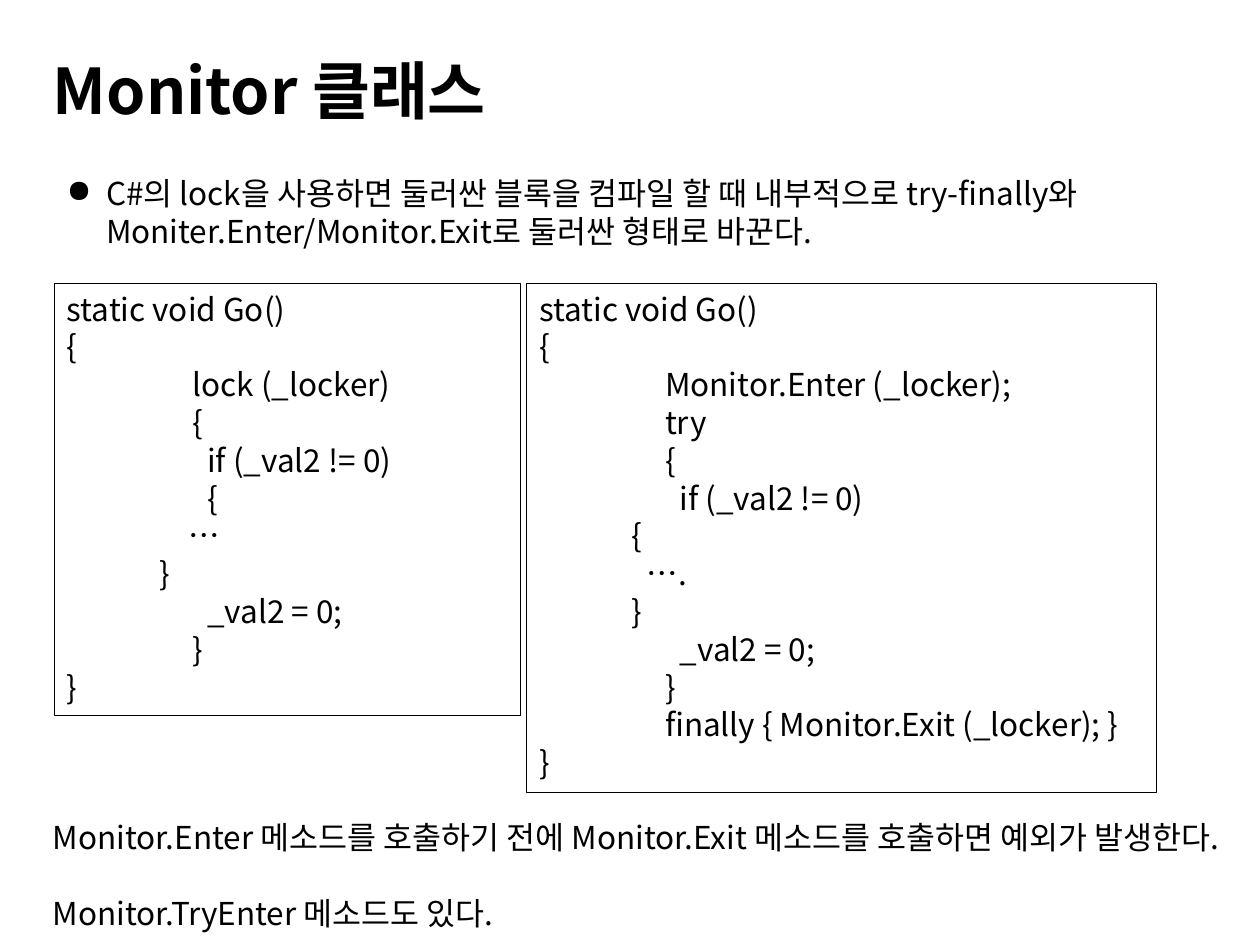
from pptx import Presentation
from pptx import util as u
from pptx.dml.color import RGBColor
from pptx.enum import shapes, text
from pptx.oxml.ns import qn
from lxml import etree

BLACK = RGBColor(0, 0, 0)
FONT = "Noto Sans CJK KR"
TAB = 72
STEP = 8.4
BRACE = 53

LOCK_CODE = [
    (0, "static void Go()"),
    (0, "{"),
    (TAB, "lock (_locker)"),
    (TAB, "{"),
    (TAB + STEP, "if (_val2 != 0)\v{"),
    (BRACE + 2 * STEP, "…"),
    (BRACE, "}"),
    (TAB + STEP, "_val2 = 0;"),
    (TAB, "}"),
    (0, "}"),
]
MONITOR_CODE = [
    (0, "static void Go()"),
    (0, "{"),
    (TAB, "Monitor.Enter (_locker);"),
    (TAB, "try"),
    (TAB, "{"),
    (TAB + STEP, "if (_val2 != 0)"),
    (BRACE, "{"),
    (BRACE + STEP, "…."),
    (BRACE, "}"),
    (TAB + STEP, "_val2 = 0;"),
    (TAB, "}"),
    (TAB, "finally { Monitor.Exit (_locker); }"),
    (0, "}"),
]
SUMMARY = ("C#의 lock을 사용하면 둘러싼 블록을 컴파일 할 때 내부적으로 try-finally와 "
           "Moniter.Enter/Monitor.Exit로 둘러싼 형태로 바꾼다.")
NOTES = ("Monitor.Enter 메소드를 호출하기 전에 Monitor.Exit 메소드를 호출하면 예외가 발생한다.\v"
         "Monitor.TryEnter 메소드도 있다.")


def set_indent(para, left, first=0):
    props = para._p.get_or_add_pPr()
    props.set("marL", str(u.Pt(left)))
    props.set("indent", str(u.Pt(first)))
    return props


def write(para, words, size=18, bold=False):
    para.text = words
    para.alignment = text.PP_ALIGN.LEFT
    look = {"name": FONT, "size": u.Pt(size), "bold": bold}
    for span in para.runs:
        for key, value in look.items():
            setattr(span.font, key, value)
        span.font.color.rgb = BLACK
        etree.SubElement(span._r.rPr, qn("a:ea"), typeface=FONT)


def format_frame(frame, wrap=True):
    look = {
        "word_wrap": wrap,
        "auto_size": text.MSO_AUTO_SIZE.NONE,
        "vertical_anchor": text.MSO_ANCHOR.TOP,
    }
    for key, value in look.items():
        setattr(frame, key, value)


def add_title(page, words, left, top, width, height):
    title = page.shapes.title
    place = {"left": left, "top": top, "width": width, "height": height}
    for key, value in place.items():
        setattr(title, key, u.Pt(value))
    format_frame(title.text_frame, wrap=False)
    write(title.text_frame.paragraphs[0], words, 36, True)


def add_text(page, words, *place):
    box = page.shapes.add_textbox(*map(u.Pt, place))
    format_frame(box.text_frame)
    para = box.text_frame.paragraphs[0]
    write(para, words)
    return para


def add_bullet(page, words, *place):
    para = add_text(page, words, *place)
    props = set_indent(para, 22.5, -22.5)
    etree.SubElement(props, qn("a:buChar"), char="●")


def add_code(page, lines, *place):
    """Draw a framed listing; each line is (indent in points, words)."""
    box = page.shapes.add_shape(shapes.MSO_SHAPE.RECTANGLE, *map(u.Pt, place))
    box.shadow.inherit = False
    box.fill.background()
    box.line.color.rgb = BLACK
    box.line.width = u.Pt(0.75)
    frame = box.text_frame
    format_frame(frame)
    for number, (indent, words) in enumerate(lines):
        para = frame.add_paragraph() if number else frame.paragraphs[0]
        write(para, words)
        set_indent(para, indent)


def main():
    deck = Presentation()
    deck.slide_width, deck.slide_height = u.Pt(720), u.Pt(540)
    page = deck.slides.add_slide(deck.slide_layouts[5])
    add_title(page, "Monitor 클래스", 23, 26, 404.5, 51)
    add_bullet(page, SUMMARY, 31, 96, 629, 51)
    add_text(page, NOTES, 23, 464, 677, 73)
    add_code(page, LOCK_CODE, 31, 162, 266.5, 247)
    add_code(page, MONITOR_CODE, 301, 162, 360, 291)
    deck.save("out.pptx")


if __name__ == "__main__":
    main()
